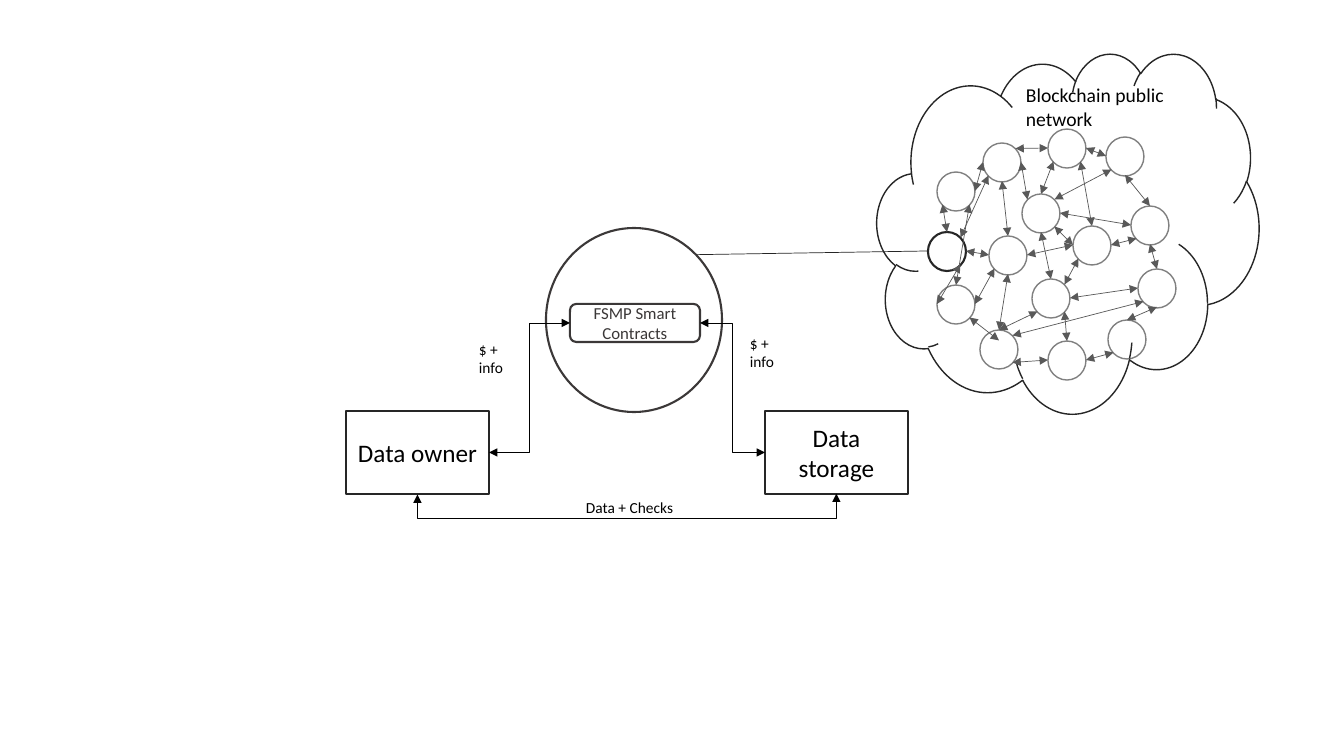
from lxml import etree
from pptx import Presentation
from pptx import util as u
from pptx.dml.color import RGBColor
from pptx.enum import shapes, text
from pptx.oxml.ns import qn

BLACK = RGBColor(0x00, 0x00, 0x00)
INK = RGBColor(0x26, 0x26, 0x26)
HUB_INK = RGBColor(0x3B, 0x38, 0x38)
NODE_GREY = RGBColor(0x80, 0x80, 0x80)
LINK_GREY = RGBColor(0x59, 0x59, 0x59)

# Content: lengths in px, boxes as left, top, width, height
OWNER = ("Data owner", (346, 411, 143, 83), 18, BLACK, INK)
STORAGE = ("Data storage", (765, 411, 143, 83), 18, BLACK, INK)
CONTRACTS = ("FSMP Smart Contracts", (570, 304, 130, 38), 12, HUB_INK, HUB_INK)
HUB = (546, 228, 176, 184)
CLOUD = (877, 53, 382, 360)
LABELS = [
    ("Blockchain public network", (1016, 78, 209, 57), 14),
    ("$ + info", (469, 335, 48, 47), 11),
    ("$ + info", (740, 329, 48, 47), 11),
    ("Data + Checks", (576, 493, 115, 29), 11),
]
CHECKS_DROP = 25  # how far the checks arrow runs below the two boxes

# Network nodes by centre; B is the one the hub zooms into
NODES = {
    "A": (956, 191), "B": (947, 251), "C": (1002, 162), "D": (956, 304),
    "E": (1008, 255), "F": (1067, 148), "G": (1041, 213), "H": (1125, 156),
    "I": (1092, 245), "J": (1150, 225), "K": (1051, 298), "L": (999, 349),
    "M": (1157, 288), "N": (1067, 360), "O": (1127, 339),
}
ZOOMED = "B"
NODE_RADIUS = 19

# Each link: node and compass point at both ends
LINKS = [
    "A e C w", "B se D w", "C s E n", "D e E sw", "B ne C sw", "B n A sw",
    "D n A se", "B e E w", "F e H w", "G se I w", "H s J n", "I e J sw",
    "G ne H sw", "G n F sw", "I n F se", "G e J w", "K e M w", "L se N w",
    "M s O n", "N e O sw", "L ne M sw", "L n K sw", "N n K se", "L n E s",
    "K n G s", "C ne F w", "K ne I sw", "L inner D se", "M n J s",
    "G nw C e", "E e I w",
]
COMPASS = {
    "n": (0, -1), "ne": (0.71, -0.71), "e": (1, 0), "se": (0.71, 0.71),
    "s": (0, 1), "sw": (-0.71, 0.71), "w": (-1, 0), "nw": (-0.71, -0.71),
    "inner": (0, -0.45),
}
TOP, LEFT, BOTTOM, RIGHT = range(4)


def px(length):
    return u.Inches(length / 100.8)


def rim(centre, radii, point):
    return [c + r * d for c, r, d in zip(centre, radii, COMPASS[point])]


prs = Presentation()
prs.slide_width, prs.slide_height = px(1344), px(756)
slide = prs.slides.add_slide(prs.slide_layouts[6])


def write(shape, words, size, colour, align):
    frame = shape.text_frame
    frame.word_wrap = True
    paragraph = frame.paragraphs[0]
    paragraph.text = words
    paragraph.alignment = align
    for name, value in {"name": "Calibri", "size": u.Pt(size)}.items():
        setattr(paragraph.font, name, value)
    paragraph.font.color.rgb = colour


def outline(kind, box, colour, width):
    shape = slide.shapes.add_shape(kind, *map(px, box))
    shape.shadow.inherit = False
    shape.fill.background()
    shape.line.color.rgb = colour
    shape.line.width = u.Pt(width)
    return shape


def labelled(kind, words, box, size, colour, edge):
    shape = outline(kind, box, edge, 1.5)
    write(shape, words, size, colour, text.PP_ALIGN.CENTER)
    shape.text_frame.vertical_anchor = text.MSO_ANCHOR.MIDDLE
    return shape


def connect(kind, start, end, colour, arrows=True):
    line = slide.shapes.add_connector(kind, *map(px, (*start, *end)))
    line.line.color.rgb = colour
    line.line.width = u.Pt(0.5)
    if arrows:
        for tip in ("a:headEnd", "a:tailEnd"):
            etree.SubElement(line.line._get_or_add_ln(), qn(tip), type="triangle")
    etree.SubElement(line._element.spPr, qn("a:effectLst"))
    return line


def elbow(first, first_side, second, second_side):
    line = connect(shapes.MSO_CONNECTOR.ELBOW, (0, 0), (1, 1), BLACK)
    line.begin_connect(first, first_side)
    line.end_connect(second, second_side)
    return line


# Network nodes and links
for name, (x, y) in NODES.items():
    edge, width = (INK, 1.5) if name == ZOOMED else (NODE_GREY, 1)
    side = 2 * NODE_RADIUS
    outline(shapes.MSO_SHAPE.OVAL,
            (x - NODE_RADIUS, y - NODE_RADIUS, side, side + 1), edge, width)

node_radii = (NODE_RADIUS, NODE_RADIUS)
for link in LINKS:
    first, start, second, end = link.split()
    connect(shapes.MSO_CONNECTOR.STRAIGHT, rim(NODES[first], node_radii, start),
            rim(NODES[second], node_radii, end), LINK_GREY)

# Cloud, hub and boxes
outline(shapes.MSO_SHAPE.CLOUD, CLOUD, INK, 1)
outline(shapes.MSO_SHAPE.OVAL, HUB, HUB_INK, 1.5)
owner = labelled(shapes.MSO_SHAPE.RECTANGLE, *OWNER)
storage = labelled(shapes.MSO_SHAPE.RECTANGLE, *STORAGE)
contracts = labelled(shapes.MSO_SHAPE.ROUNDED_RECTANGLE, *CONTRACTS)

# Line from the hub to the node it enlarges
hub_radii = (HUB[2] / 2, HUB[3] / 2)
hub_centre = (HUB[0] + hub_radii[0], HUB[1] + hub_radii[1])
connect(shapes.MSO_CONNECTOR.STRAIGHT, rim(hub_centre, hub_radii, "ne"),
        rim(NODES[ZOOMED], node_radii, "w"), INK, arrows=False)

# Elbow arrows between the boxes
elbow(owner, RIGHT, contracts, LEFT)
elbow(storage, LEFT, contracts, RIGHT)

# The checks arrow is a quarter-turned elbow, one px thick, bent far outside
checks = elbow(owner, BOTTOM, storage, BOTTOM)
span = checks.end_x - checks.begin_x
middle, base = checks.begin_x + span // 2, checks.begin_y
checks.left, checks.top = middle - px(1) // 2, base - span // 2
checks.width, checks.height = px(1), span
turned = checks._element.spPr.find(qn("a:xfrm"))
turned.set("rot", str(270 * 60000))
turned.set("flipH", "1")
bend = checks._element.spPr.find(qn("a:prstGeom")).get_or_add_avLst()
etree.SubElement(bend, qn("a:gd"), name="adj1", fmla=f"val {CHECKS_DROP * 100000}")

# Labels
for words, box, size in LABELS:
    label = slide.shapes.add_textbox(*map(px, box))
    write(label, words, size, BLACK, text.PP_ALIGN.LEFT)

prs.save("out.pptx")
